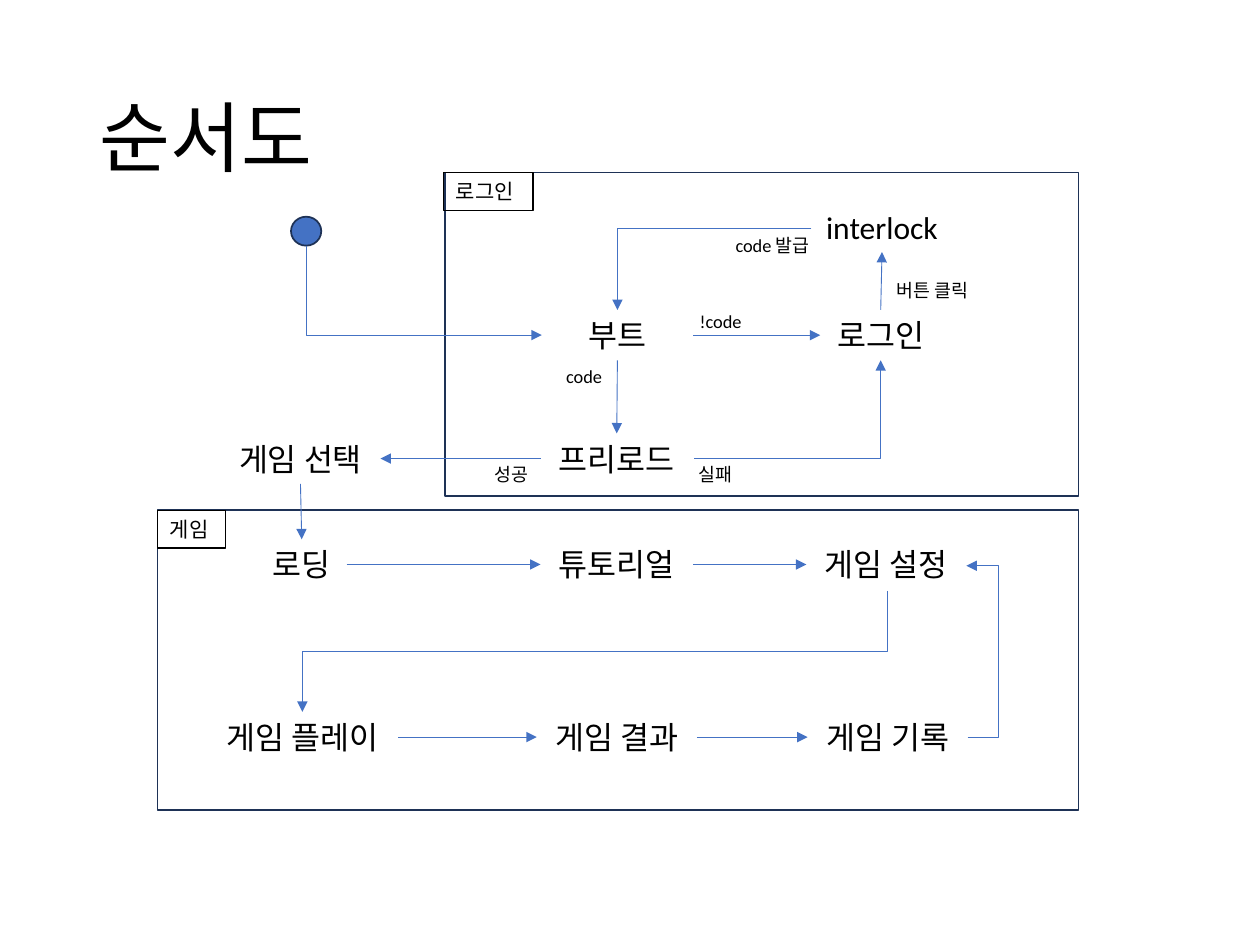
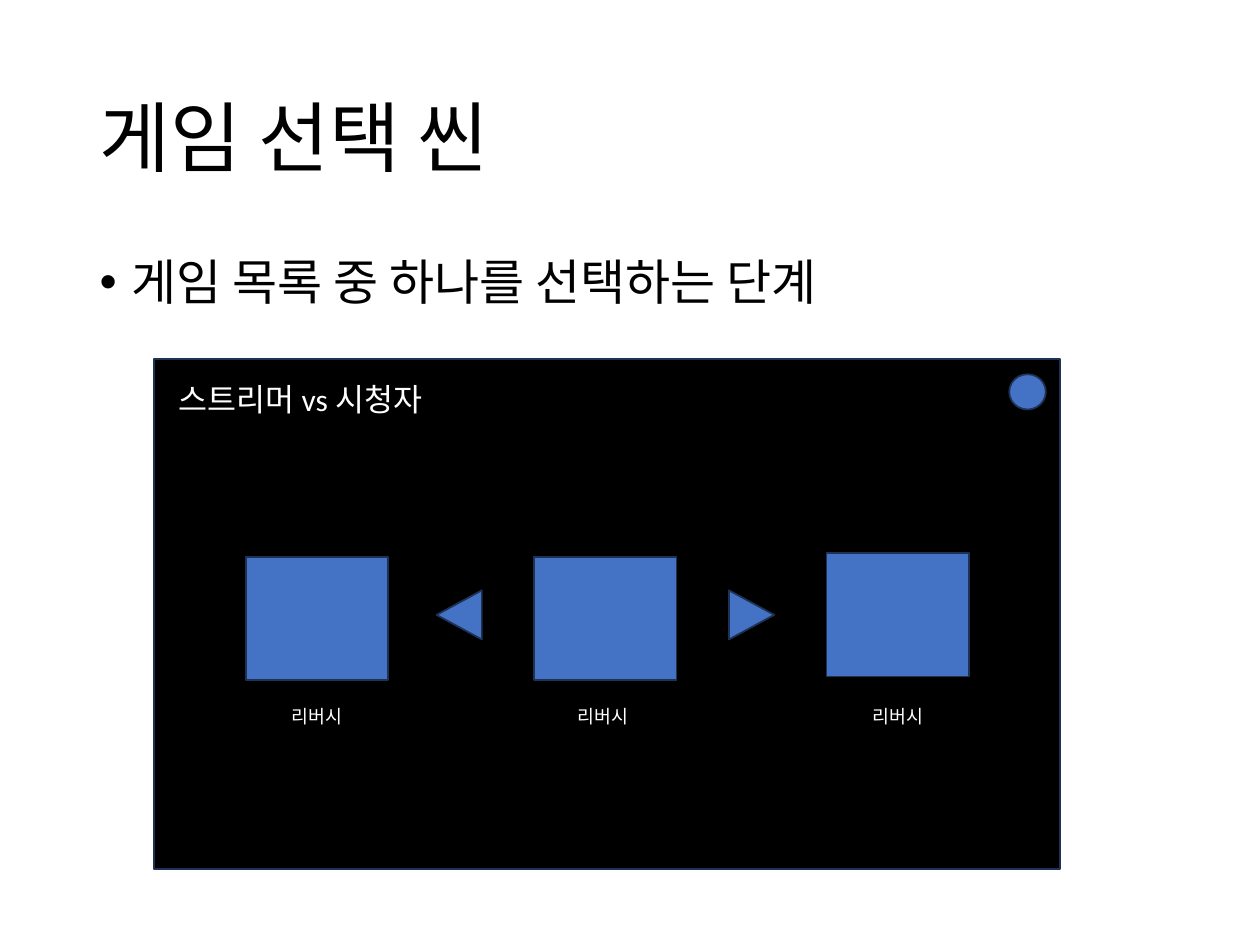
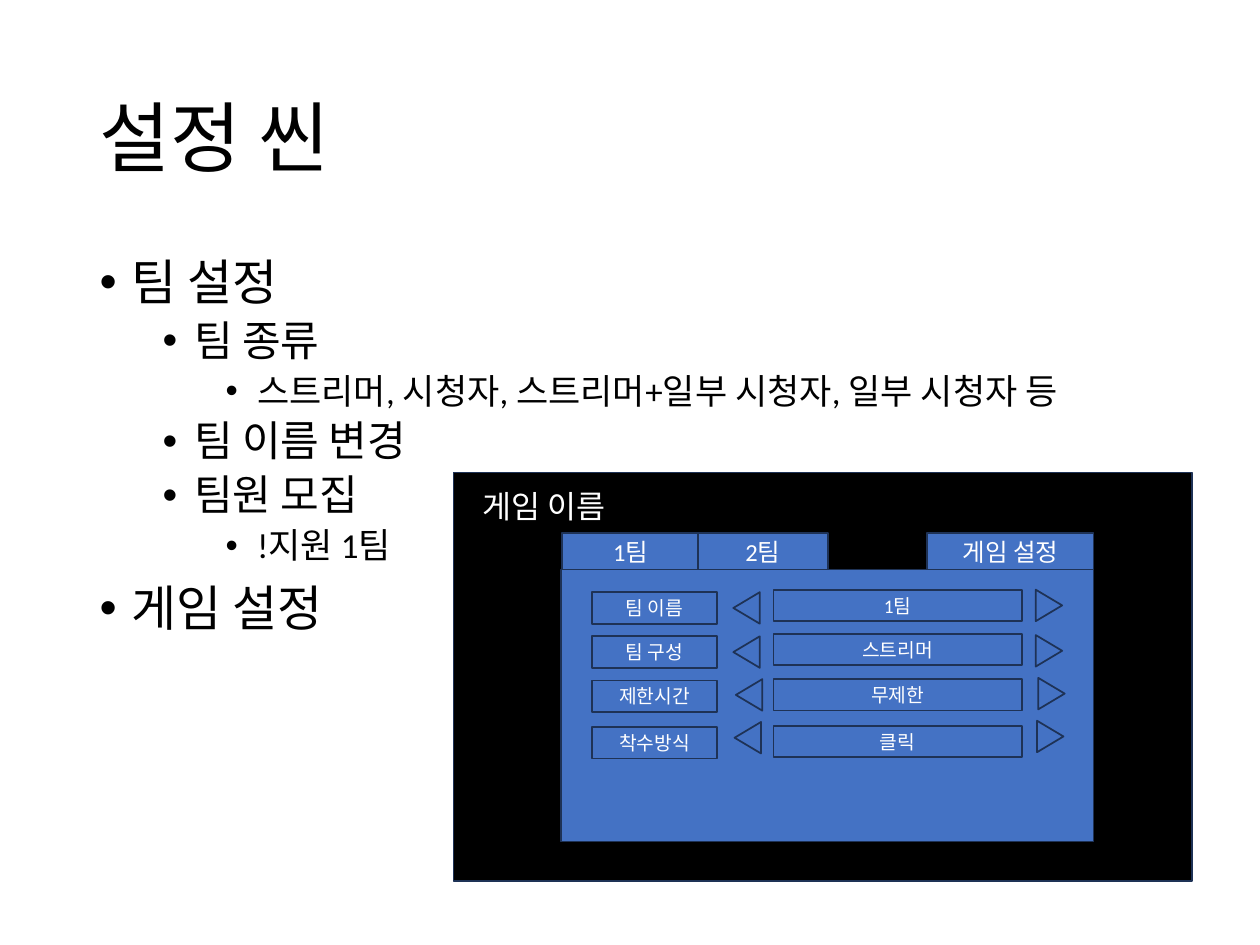
from pptx import Presentation
from pptx.dml.color import RGBColor
from pptx.enum import shapes, text
from pptx.oxml import parse_xml
from pptx.oxml.ns import nsdecls, qn
from pptx.util import Inches, Pt

BLACK = RGBColor(0x00, 0x00, 0x00)
WHITE = RGBColor(0xFF, 0xFF, 0xFF)
BLUE = RGBColor(0x44, 0x72, 0xC4)
NAVY = RGBColor(0x1E, 0x32, 0x56)
FONT = "Calibri"
RECT = shapes.MSO_SHAPE.RECTANGLE
OVAL = shapes.MSO_SHAPE.OVAL
TRI = shapes.MSO_SHAPE.ISOSCELES_TRIANGLE
LINK = shapes.MSO_CONNECTOR
LEFT, MID = text.PP_ALIGN.LEFT, text.PP_ALIGN.CENTER
TOP, CENTER = text.MSO_ANCHOR.TOP, text.MSO_ANCHOR.MIDDLE
GROW = text.MSO_AUTO_SIZE.SHAPE_TO_FIT_TEXT


def block(slide, kind, at, fill=BLUE, turn=0):
    """Add a preset shape with the shared navy edge."""
    item = slide.shapes.add_shape(kind, *map(Inches, at))
    item.shadow.inherit = False
    item.rotation = turn
    if fill is None:
        item.fill.background()
    else:
        item.fill.solid()
        item.fill.fore_color.rgb = fill
    item.line.color.rgb = NAVY
    item.line.width = Pt(1)
    return item


def write(item, words, size, ink=BLACK, align=MID, **props):
    """Put one formatted line of text in a shape."""
    frame = item.text_frame
    frame.text = words
    for key, value in props.items():
        setattr(frame, key, value)
    para = frame.paragraphs[0]
    para.alignment = align
    look = {"name": FONT, "size": Pt(size)}
    for key, value in look.items():
        setattr(para.font, key, value)
    para.font.color.rgb = ink
    return item


deck = Presentation()
deck.slide_width, deck.slide_height = Inches(10), Inches(7.5)

# Titles and bullet lists: (title, [(level, line)])
PAGES = [
    ("순서도", []),
    ("게임 선택 씬", [(0, "게임 목록 중 하나를 선택하는 단계")]),
    ("설정 씬", [
        (0, "팀 설정"),
        (1, "팀 종류"),
        (2, "스트리머, 시청자, 스트리머+일부 시청자, 일부 시청자 등"),
        (1, "팀 이름 변경"),
        (1, "팀원 모집"),
        (2, "!지원 1팀"),
        (0, "게임 설정"),
    ]),
]
SIDES = ("left", "top", "width", "height")
pages = []
for name, lines in PAGES:
    page = deck.slides.add_slide(deck.slide_layouts[1 if lines else 5])
    pages.append(page)
    title = page.shapes.title
    for side, value in zip(SIDES, (0.69, 0.4, 8.62, 1.45)):
        setattr(title, side, Inches(value))
    write(title, name, 44, align=LEFT, vertical_anchor=CENTER)
    title.text_frame.paragraphs[0].line_spacing = 0.9
    if not lines:
        continue
    body = page.placeholders[1]
    for side, value in zip(SIDES, (0.69, 2, 8.62, 4.76)):
        setattr(body, side, Inches(value))
    body.text_frame.text = "\n".join(line for _, line in lines)
    for para, (level, _) in zip(body.text_frame.paragraphs, lines):
        look = {"level": level, "line_spacing": 0.9,
                "space_before": Pt(5 if level else 10)}
        for key, value in look.items():
            setattr(para, key, value)
        para.font.name, para.font.size = FONT, Pt(28 - 4 * level)
        para.font.color.rgb = BLACK
        props = para._p.get_or_add_pPr()
        props.set("marL", str(Inches(0.25 + 0.5 * level)))
        props.set("indent", str(Inches(-0.25)))
        dot = parse_xml(f'<a:buChar {nsdecls("a")} char="•"/>')
        props.insert_element_before(dot, "a:tabLst", "a:defRPr", "a:extLst")

flow, pick, setup = pages

# Flowchart: frames and starting point
for at in ((3.53, 1.37, 5.03, 2.57), (1.25, 4.05, 7.31, 2.38)):
    block(flow, RECT, at, None)
start = block(flow, OVAL, (2.31, 1.72, 0.24, 0.23))

# Flowchart: steps as key: (text, left, top, width)
STEPS = {
    "boot": ("부트", 4.3, 2.46, 1.2),
    "login": ("로그인", 6.51, 2.46, 0.96),
    "pre": ("프리로드", 4.29, 3.44, 1.21),
    "lock": ("interlock", 6.45, 1.6, 1.1),
    "pick": ("게임 선택", 1.75, 3.44, 1.27),
    "load": ("로딩", 2.04, 4.28, 0.71),
    "tutor": ("튜토리얼", 4.29, 4.28, 1.21),
    "setup": ("게임 설정", 6.4, 4.28, 1.27),
    "play": ("게임 플레이", 1.64, 5.65, 1.52),
    "score": ("게임 결과", 4.26, 5.65, 1.27),
    "log": ("게임 기록", 6.41, 5.65, 1.27),
}
nodes = {"start": start}
for key, (words, left, top, width) in STEPS.items():
    box = flow.shapes.add_textbox(*map(Inches, (left, top, width, 0.4)))
    nodes[key] = write(box, words, 18, auto_size=GROW,
                       word_wrap=key in ("boot", "pre"))

# Flowchart: notes beside the arrows
NOTES = [
    ("!code", 5.45, 2.41, 0.54), ("버튼 클릭", 6.99, 2.17, 0.82),
    ("code", 4.39, 2.85, 0.49), ("성공", 3.81, 3.63, 0.5),
    ("실패", 5.43, 3.63, 0.5), ("code 발급", 5.72, 1.81, 0.82),
]
for words, left, top, width in NOTES:
    box = flow.shapes.add_textbox(*map(Inches, (left, top, width, 0.28)))
    write(box, words, 10.5, auto_size=GROW, word_wrap=False)

# Flowchart: arrows as (from, side, to, side, bend)
# A bend is (preset, placement, turn, flips, adjustment)
ARROWS = [
    ("boot", 3, "login", 1, None),
    ("login", 0, "lock", 2, None),
    ("load", 3, "tutor", 1, None),
    ("tutor", 3, "setup", 1, None),
    ("score", 3, "log", 1, None),
    ("play", 3, "score", 1, None),
    ("pre", 1, "pick", 3, None),
    ("boot", 2, "pre", 0, None),
    ("pick", 2, "load", 0, None),
    ("lock", 1, "boot", 0,
     ("bentConnector2", (4.9, 1.81, 1.54, 0.65), 180, "V", None)),
    ("log", 3, "setup", 3,
     ("bentConnector3", (7.67, 4.49, 0.01, 1.36), 0, "HV", -25)),
    ("setup", 2, "play", 0,
     ("bentConnector3", (4.24, 2.85, 0.96, 4.64), 90, "", 0.5)),
    ("pre", 3, "login", 2,
     ("bentConnector2", (5.51, 2.86, 1.48, 0.78), 0, "V", None)),
    ("start", 2, "boot", 1,
     ("bentConnector2", (3.01, 1.37, 0.71, 1.87), 270, "H", None)),
]
for tail, out, head, into, bend in ARROWS:
    kind = LINK.ELBOW if bend else LINK.STRAIGHT
    arrow = flow.shapes.add_connector(kind, 0, 0, 0, 0)
    arrow.begin_connect(nodes[tail], out)
    arrow.end_connect(nodes[head], into)
    arrow.line.color.rgb, arrow.line.width = BLUE, Pt(0.5)
    tip = parse_xml(f'<a:tailEnd {nsdecls("a")} type="triangle"/>')
    arrow.line._get_or_add_ln().append(tip)
    props = arrow._element.spPr
    props.append(parse_xml(f'<a:effectLst {nsdecls("a")}/>'))
    if tail == "start":  # an ellipse has eight sites, 4 is the bottom
        next(arrow._element.iter(qn("a:stCxn"))).set("idx", "4")
    if bend:
        preset, at, turn, flips, shift = bend
        for side, value in zip(SIDES, at):
            setattr(arrow, side, Inches(value))
        xfrm = props.find(qn("a:xfrm"))
        xfrm.set("rot", str(turn * 60000))
        for axis in "HV":
            xfrm.set("flip" + axis, str(int(axis in flips)))
        geom = props.find(qn("a:prstGeom"))
        geom.set("prst", preset)
        if shift is not None:
            guide = parse_xml(f'<a:gd {nsdecls("a")} name="adj1" '
                              f'fmla="val {int(shift * 100000)}"/>')
            geom.find(qn("a:avLst")).append(guide)

# Flowchart: frame tags
for words, left, top, width in (("로그인", 3.52, 1.37, 0.71),
                                ("게임", 1.25, 4.05, 0.54)):
    tag = flow.shapes.add_textbox(*map(Inches, (left, top, width, 0.3)))
    write(tag, words, 12, align=LEFT, auto_size=GROW, word_wrap=False)
    tag.line.color.rgb, tag.line.width = BLACK, Pt(0.75)

# Game choice: screen, cards and arrows
block(pick, RECT, (1.22, 2.85, 7.19, 4.05), BLACK)
for left, top, spot in ((1.95, 4.42, 2.16), (4.24, 4.42, 4.43),
                        (6.56, 4.39, 6.77)):
    block(pick, RECT, (left, top, 1.13, 0.98))
    box = pick.shapes.add_textbox(*map(Inches, (spot, 5.55, 0.71, 0.29)))
    write(box, "리버시", 10.5, WHITE, auto_size=GROW, word_wrap=True)
for left, turn in ((3.45, 270), (5.77, 90)):
    block(pick, TRI, (left, 4.7, 0.39, 0.36), turn=turn)
block(pick, OVAL, (8.01, 2.97, 0.29, 0.28))

# Settings: screen, panel and tabs
block(setup, RECT, (3.6, 3.75, 5.86, 3.24), BLACK)
block(setup, RECT, (4.45, 4.52, 4.23, 2.16))
for words, left, width in (("1팀", 4.46, 1.09), ("2팀", 5.54, 1.03),
                           ("게임 설정", 7.36, 1.32)):
    tab = block(setup, RECT, (left, 4.23, width, 0.29))
    write(tab, words, 14, WHITE, vertical_anchor=CENTER)

# Settings: rows as (name, top, value, top, back arrow, next arrow)
ROWS = [
    ("팀 이름", 4.7, "1팀", 4.68, (5.8, 4.72), (8.2, 4.7)),
    ("팀 구성", 5.05, "스트리머", 5.03, (5.8, 5.07), (8.2, 5.06)),
    ("제한시간", 5.4, "무제한", 5.39, (5.82, 5.41), (8.22, 5.4)),
    ("착수방식", 5.77, "클릭", 5.76, (5.81, 5.75), (8.21, 5.74)),
]
for name, high, value, top, back, ahead in ROWS:
    for words, at in ((name, (4.7, high, 0.99, 0.25)),
                      (value, (6.14, top, 1.97, 0.25))):
        cell = block(setup, RECT, at)
        write(cell, words, 11, WHITE, vertical_anchor=CENTER)
    for spot, turn in ((back, 270), (ahead, 90)):
        block(setup, TRI, (*spot, 0.25, 0.21), turn=turn)

# Screen headings
for page, words, at in ((pick, "스트리머 vs 시청자", (1.32, 2.97, 2.3, 0.4)),
                        (setup, "게임 이름", (3.73, 3.82, 1.27, 0.4))):
    box = page.shapes.add_textbox(*map(Inches, at))
    write(box, words, 18, WHITE, LEFT, auto_size=GROW, word_wrap=False)

deck.save("out.pptx")
